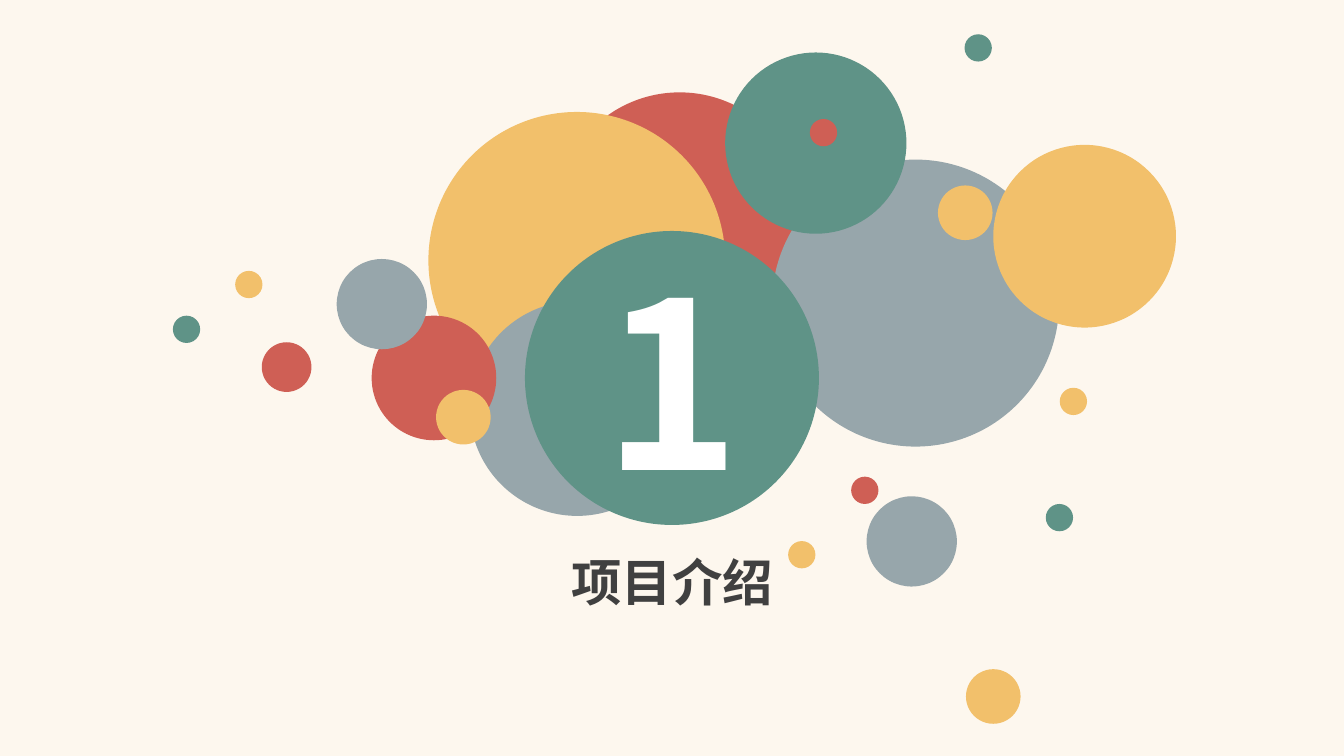
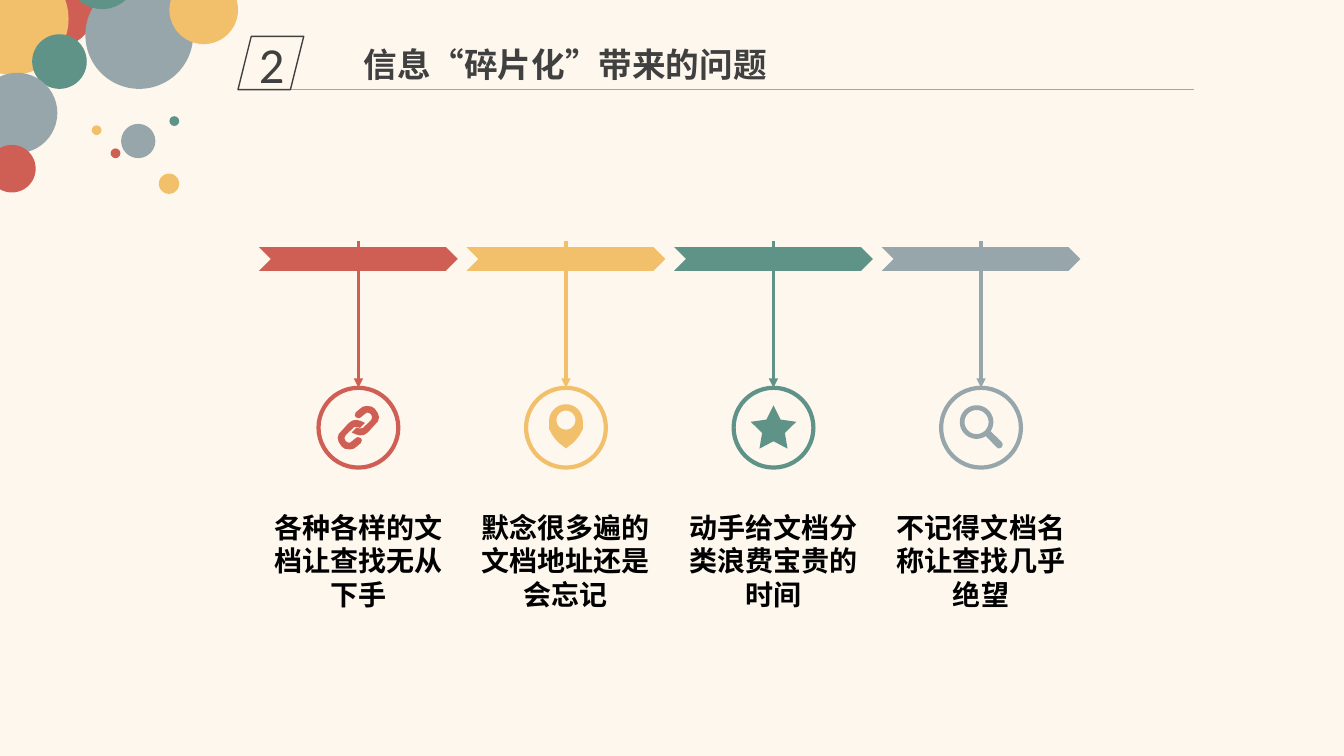
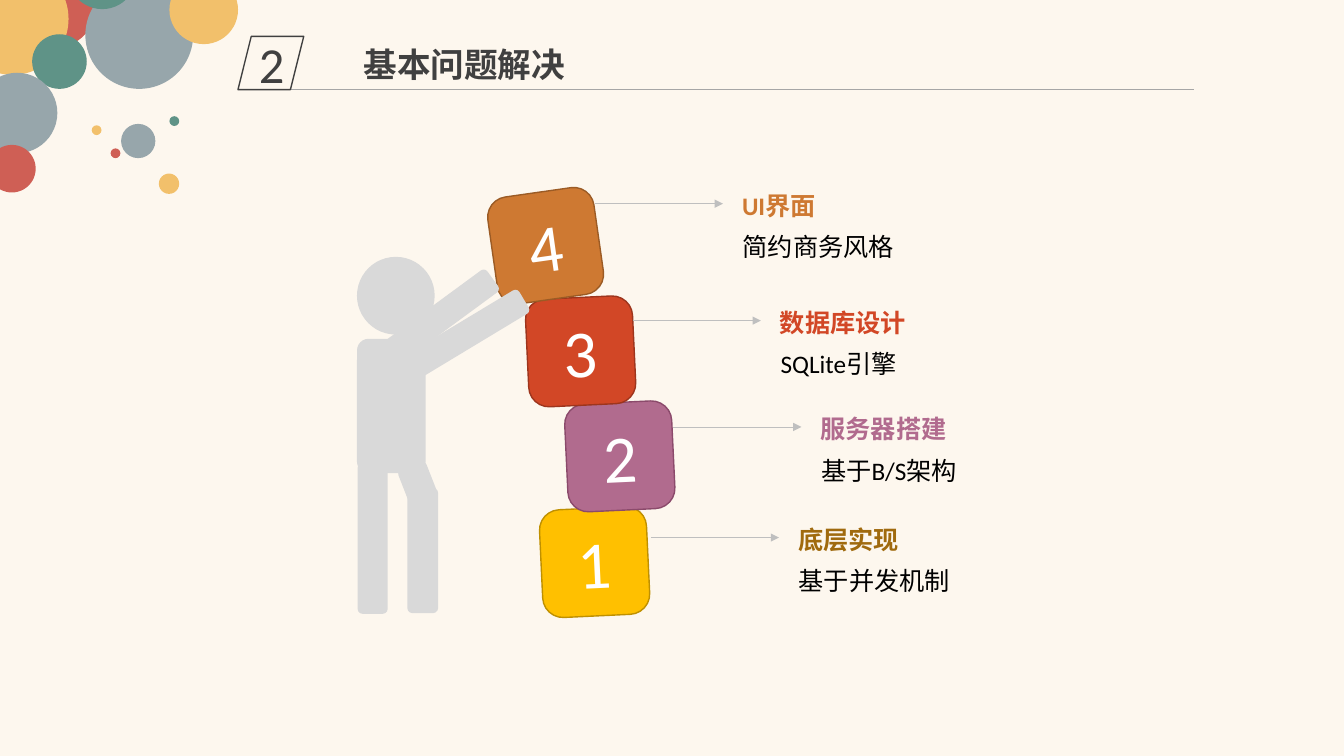
from math import cos, radians, sin

from lxml import etree
from pptx import Presentation
from pptx.dml.color import RGBColor
from pptx.enum.shapes import MSO_CONNECTOR, MSO_SHAPE as SHAPE
from pptx.enum.text import MSO_ANCHOR as ANCHOR, PP_ALIGN as ALIGN
from pptx.oxml.ns import qn
from pptx.util import Pt

COLORS = {
    "paper": "FDF7EE", "red": "CF5F55", "yellow": "F2C06B", "green": "5F9387",
    "gray": "97A6AB", "ink": "404040", "black": "000000", "white": "FFFFFF",
    "rule": "A6A6A6", "arrow": "BFBFBF", "figure": "D9D9D9",
    "gold": "FFC000", "gold edge": "BF9000", "gold text": "A06A0E",
    "plum": "B16B8E", "plum edge": "8B4A6B",
    "brick": "D24726", "brick edge": "9D351D",
    "orange": "CE7932", "orange edge": "9B5B25",
}
LATIN, CJK = "Calibri", "Noto Sans CJK SC"

# Bubbles: colour, left, top, diameter
SECTION_BUBBLES = [
    ("red", 397, 66, 177), ("yellow", 306, 80, 212), ("gray", 335.5, 215, 153.5),
    ("gray", 551.5, 114, 205), ("green", 518, 37.5, 129.5), ("red", 265.5, 225.5, 89),
    ("gray", 619, 354.5, 64.5), ("red", 608, 340.5, 19.5), ("yellow", 563, 386.5, 19.5),
    ("green", 747, 360, 19.5), ("yellow", 690, 478, 39), ("yellow", 709.5, 103.5, 130.5),
    ("gray", 240.5, 185, 64.5), ("red", 187, 244.5, 35.5), ("yellow", 168, 193.5, 19.5),
    ("green", 123.5, 225.5, 19.5), ("yellow", 311.5, 278.5, 39), ("red", 578.5, 85, 19.5),
    ("yellow", 757, 277, 19.5), ("green", 689, 24.5, 19.5), ("yellow", 670, 132.5, 39),
]
CORNER_BUBBLES = [
    ("red", 3, -32, 67), ("yellow", -31, -26.5, 80), ("green", 23, 24.5, 39),
    ("gray", -16.5, 52, 57.5), ("gray", 61, -13.5, 77), ("green", 48.5, -42.5, 49),
    ("red", -8.5, 103.5, 34), ("gray", 86.5, 88.5, 24.5), ("red", 79, 106, 7),
    ("yellow", 65.5, 89.5, 7), ("green", 121, 83, 7), ("yellow", 113.5, 124, 14.5),
    ("yellow", 121, -17.5, 49),
]
PROBLEMS = [
    ("red", "link", "各种各样的文档让查找无从下手"),
    ("yellow", "pin", "默念很多遍的文档地址还是会忘记"),
    ("green", "star", "动手给文档分类浪费宝贵的时间"),
    ("gray", "lens", "不记得文档名称让查找几乎绝望"),
]
# Blocks: number, title, detail, colour, title colour, left, top, rotation, arrow start
BLOCKS = [
    ("1", "底层实现", "基于并发机制", "gold", "gold text", 386.5, 363, -2.7, (465, 384)),
    ("2", "服务器搭建", "基于B/S架构", "plum", "plum", 404.5, 287.5, -2.7, (481, 305)),
    ("3", "数据库设计", "SQLite引擎", "brick", "brick", 376.5, 212.5, -2.7, (452, 229)),
    ("4", "UI界面", "简约商务风格", "orange", "orange", 351.5, 137, -8.1, (425, 145.5)),
]
# Limbs: left, top, width, height, rotation, corner ratio
LIMBS = [
    (255, 242, 49, 96, 0, 0.17), (255.5, 330.5, 21.5, 108, 0, 0.17),
    (287.5, 328.5, 21.5, 32.5, -21.4, 0.3), (291, 348.5, 22, 89.5, 0, 0.17),
    (304.5, 180, 19.5, 93.5, 53.7, 0.17), (324.5, 191.5, 19.5, 93.5, 58.9, 0.17),
]


def arc(x, y, radius, start=0, end=360, steps=36):
    """Points on a circle, angles in degrees clockwise from the right."""
    angles = [radians(start + (end - start) * i / steps) for i in range(steps + 1)]
    return [(x + radius * cos(a), y + radius * sin(a)) for a in angles]


# Icon outlines, measured from the centre of their ring
PIN_SIDE = [(12, -3.2), (12, 1), (9.7, 5.4), (7.5, 8.3), (4.7, 11.2), (2.5, 12.8)]
HALF_LINK = [
    (-1.1, -5.5), (1.8, -4.8), (4.7, -3.4), (1.1, 0.2), (-0.4, -0.5), (-1.8, -0.5),
    (-3.2, -0.3), (-9, 5.3), (-9.7, 6.7), (-9.7, 8.1), (-9, 9.6), (-7.6, 10.5),
    (-6.1, 10.8), (-4.7, 9.8), (-1.8, 7.4), (-0.4, 6.7), (1.8, 7.4), (2.5, 8.9),
    (1.8, 11), (-1.1, 13.4), (-3.2, 15), (-6.1, 15.5), (-9.7, 15), (-11.9, 13.4),
    (-14, 10.3), (-14.8, 7.4), (-14, 4.5), (-11.9, 2.2), (-6.8, -3.4), (-4, -5.2),
]
HANDLE = [(14.8, 10.4), (15.5, 11.9), (14.8, 14), (12.6, 14.9), (11.2, 14)]
ICONS = {
    "link": [HALF_LINK, [(-x, -y) for x, y in HALF_LINK]],
    "pin": [arc(0, -4.7, 12, 180, 360) + PIN_SIDE + [(0, 14.8)]
            + [(-x, y) for x, y in reversed(PIN_SIDE)], arc(0, -5.4, 6.8)],
    "lens": [arc(-3.2, -4, 12, 57, 393) + HANDLE, arc(-3.2, -4, 8.6)],
}


def rgb(color):
    return RGBColor.from_string(COLORS[color])


def paint(shape, fill=None, line=None, weight=1):
    shape.shadow.inherit = False
    if fill:
        shape.fill.solid()
        shape.fill.fore_color.rgb = rgb(fill)
    else:
        shape.fill.background()
    if line:
        shape.line.color.rgb = rgb(line)
        shape.line.width = Pt(weight)
    else:
        shape.line.fill.background()


def add_preset(shapes, kind, left, top, width, height, rotation=0, corner=None, **style):
    shape = shapes.add_shape(kind, Pt(left), Pt(top), Pt(width), Pt(height))
    shape.rotation = rotation
    if corner is not None:
        shape.adjustments[0] = corner
    paint(shape, **style)
    return shape


def add_bubbles(shapes, bubbles):
    for color, left, top, size in bubbles:
        add_preset(shapes, SHAPE.OVAL, left, top, size, size, fill=color)


def write(shape, text, size, color, font=LATIN, bold=False, align=ALIGN.CENTER,
          anchor=ANCHOR.MIDDLE, spacing=None):
    frame = shape.text_frame
    frame.word_wrap = True
    frame.vertical_anchor = anchor
    frame.text = text
    paragraph = frame.paragraphs[0]
    paragraph.alignment = align
    if spacing:
        paragraph.line_spacing = spacing
    run = paragraph.runs[0]
    run.font.size = Pt(size)
    run.font.bold = bold
    run.font.color.rgb = rgb(color)
    run.font.name = font
    etree.SubElement(run._r.get_or_add_rPr(), qn("a:ea")).set("typeface", CJK)


def add_text(shapes, left, top, width, height, *words, **style):
    box = shapes.add_textbox(Pt(left), Pt(top), Pt(width), Pt(height))
    write(box, *words, anchor=ANCHOR.TOP, **style)


def add_line(shapes, x1, y1, x2, y2, color, weight, arrow=False):
    line = shapes.add_connector(MSO_CONNECTOR.STRAIGHT, Pt(x1), Pt(y1), Pt(x2), Pt(y2))
    line.line.color.rgb = rgb(color)
    line.line.width = Pt(weight)
    properties = line._element.spPr
    if arrow:
        tail = etree.SubElement(properties.find(qn("a:ln")), qn("a:tailEnd"))
        tail.set("type", "triangle")
    etree.SubElement(properties, qn("a:effectLst"))
    return line


def add_outline(shapes, x, y, contours, color):
    """Filled outline; a contour inside another one cuts a hole."""
    builder = None
    for contour in contours:
        points = [(Pt(x + dx), Pt(y + dy)) for dx, dy in contour]
        if builder is None:
            builder = shapes.build_freeform(*points[0], scale=1.0)
        else:
            builder.move_to(*points[0])
        builder.add_line_segments(points[1:], close=True)
    paint(builder.convert_to_shape(), fill=color)


def new_slide(prs):
    """Add a blank slide and return its shapes."""
    return prs.slides.add_slide(prs.slide_layouts[6]).shapes


def add_header(shapes, number, title):
    add_bubbles(shapes.add_group_shape().shapes, CORNER_BUBBLES)
    add_line(shapes, 204.5, 63.5, 853, 63.5, "rule", 0.5)
    badge = add_preset(shapes, SHAPE.PARALLELOGRAM, 170, 26, 47, 38, line="ink")
    write(badge, number, 36, "ink")
    add_text(shapes, 252.5, 27.5, 369.5, 36, title, 24, "ink",
             font=CJK, bold=True, align=ALIGN.LEFT)


def build_section(prs):
    shapes = new_slide(prs)
    add_bubbles(shapes, SECTION_BUBBLES)
    disc = add_preset(shapes, SHAPE.OVAL, 375, 165, 210, 210, fill="green")
    write(disc, "1", 166, "white", font=CJK, bold=True)
    add_text(shapes, 263, 390, 434, 51, "项目介绍", 36, "ink", font=CJK, bold=True)


def build_problems(prs):
    shapes = new_slide(prs)
    first_left, pitch, width, ring_top, ring_size = 185, 148.25, 142, 277, 57
    for i, (color, icon, text) in enumerate(PROBLEMS):
        left = first_left + i * pitch
        middle, center_y = left + width / 2, ring_top + ring_size / 2
        add_preset(shapes, SHAPE.CHEVRON, left, 176.5, width, 17, fill=color)
        add_text(shapes, left, 361, width, 80, text, 20, "black", bold=True)
        ring = add_preset(shapes, SHAPE.OVAL, middle - ring_size / 2, ring_top,
                          ring_size, ring_size, line=color, weight=3)
        stem = add_line(shapes, middle, 172, middle, ring_top, color, 2.25, arrow=True)
        stem.end_connect(ring, 0)
        if icon == "star":
            add_preset(shapes, SHAPE.STAR_5_POINT, middle - 16.25, center_y - 16,
                       32.5, 31, corner=0.25, fill=color)
        else:
            add_outline(shapes, middle, center_y, ICONS[icon], color)
    add_header(shapes, "2", "信息“碎片化”带来的问题")


def build_solutions(prs):
    shapes = new_slide(prs)
    add_header(shapes, "2", "基本问题解决")
    for number, title, detail, color, title_color, left, top, turn, (x, y) in BLOCKS:
        group = shapes.add_group_shape().shapes
        block = add_preset(group, SHAPE.ROUNDED_RECTANGLE, left, top, 76.5, 77, turn,
                           0.19, fill=color, line=color + " edge")
        write(block, number, 48, "white")
        add_line(group, x, y, x + 91.5, y, "arrow", 0.5, arrow=True)
        add_text(group, x + 98, y - 19.5, 199.5, 32.5, title, 18, title_color,
                 bold=True, align=ALIGN.LEFT, spacing=1.3)
        add_text(group, x + 98.5, y + 10, 294, 35.5, detail, 18, "black",
                 align=ALIGN.LEFT, spacing=1.3)
    figure = shapes.add_group_shape().shapes
    for limb in LIMBS:
        add_preset(figure, SHAPE.ROUNDED_RECTANGLE, *limb, fill="figure")
    add_bubbles(figure, [("figure", 255, 183.5, 55.5)])


def main():
    prs = Presentation()
    prs.slide_width, prs.slide_height = Pt(960), Pt(540)
    paper = prs.slide_master.background.fill
    paper.solid()
    paper.fore_color.rgb = rgb("paper")
    build_section(prs)
    build_problems(prs)
    build_solutions(prs)
    prs.save("out.pptx")


if __name__ == "__main__":
    main()
